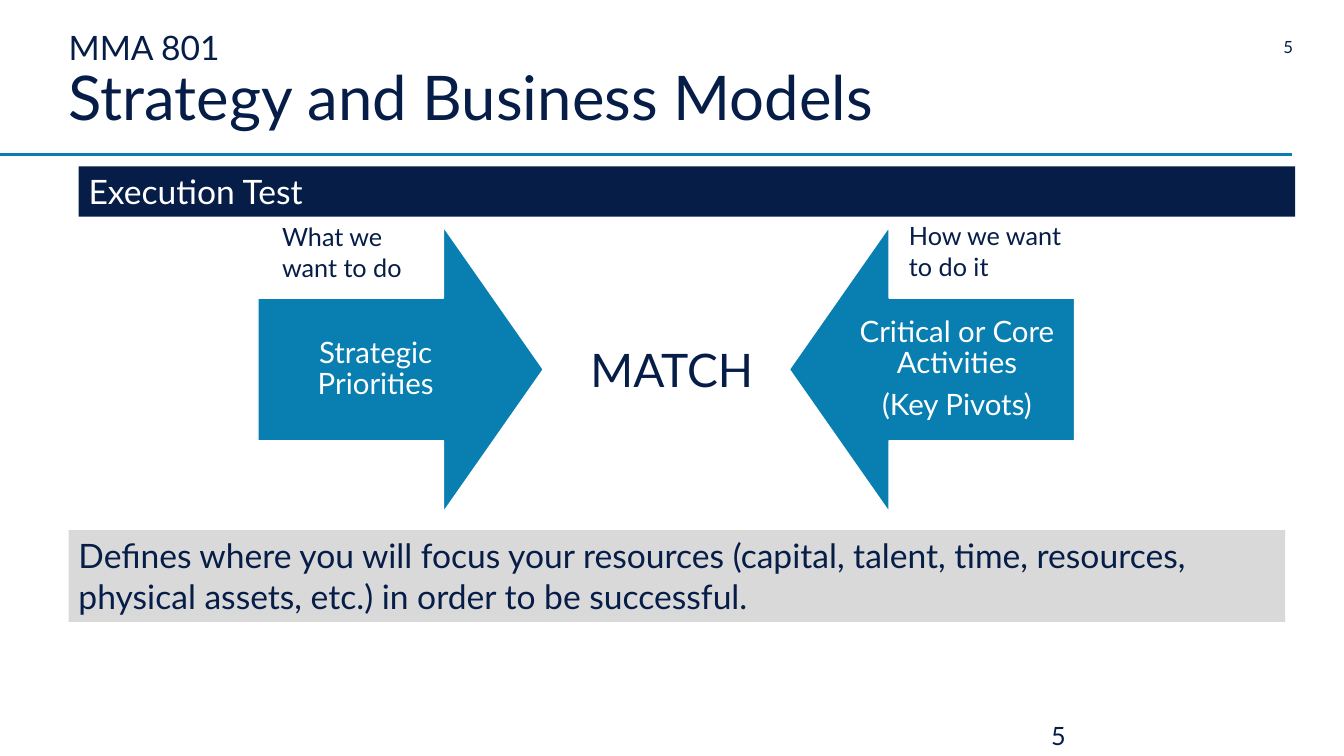
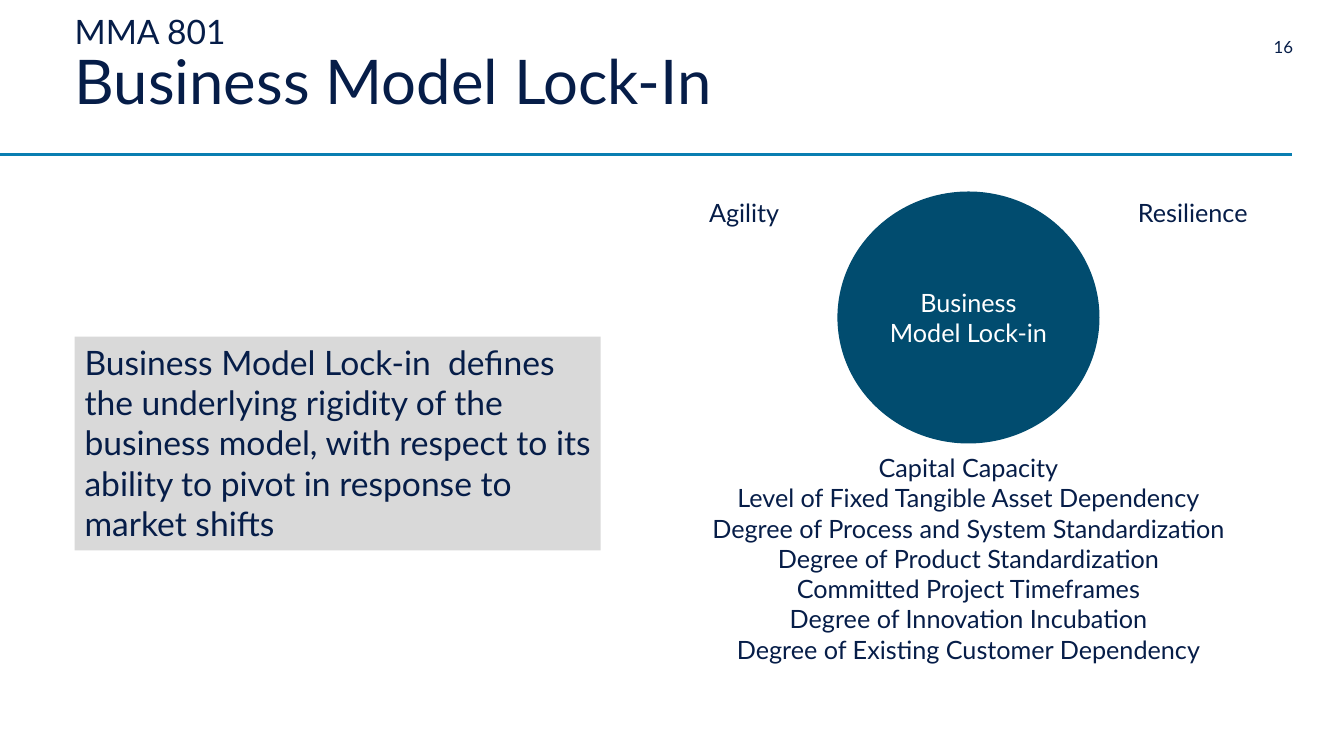
from dataclasses import dataclass

from lxml import etree
from pptx import Presentation
from pptx.dml.color import RGBColor
from pptx.enum.shapes import MSO_CONNECTOR, MSO_SHAPE
from pptx.enum.text import MSO_ANCHOR, MSO_AUTO_SIZE, PP_ALIGN
from pptx.oxml.ns import qn
from pptx.shapes.autoshape import Shape
from pptx.slide import Slide
from pptx.util import Pt

LEFT, CENTER, RIGHT = PP_ALIGN.LEFT, PP_ALIGN.CENTER, PP_ALIGN.RIGHT
TOP, MIDDLE, BOTTOM = MSO_ANCHOR.TOP, MSO_ANCHOR.MIDDLE, MSO_ANCHOR.BOTTOM
NO_AUTO_SIZE = MSO_AUTO_SIZE.NONE
RECTANGLE, OVAL = MSO_SHAPE.RECTANGLE, MSO_SHAPE.OVAL
RIGHT_ARROW, LEFT_ARROW = MSO_SHAPE.RIGHT_ARROW, MSO_SHAPE.LEFT_ARROW
STRAIGHT = MSO_CONNECTOR.STRAIGHT
TITLE_ONLY = 5


@dataclass(frozen=True)
class Theme:
    font: str = "Lato"
    navy: RGBColor = RGBColor(0x06, 0x1D, 0x48)
    blue: RGBColor = RGBColor(0x09, 0x7E, 0xB1)
    deep_blue: RGBColor = RGBColor(0x01, 0x4C, 0x6F)
    grey: RGBColor = RGBColor(0xD9, 0xD9, 0xD9)
    white: RGBColor = RGBColor(0xFF, 0xFF, 0xFF)
    title: int = 44
    match: int = 33
    heading: int = 24
    arrow: int = 21
    body: int = 18
    number: int = 12


THEME = Theme()


@dataclass(frozen=True)
class Box:
    left: float
    top: float
    width: float
    height: float

    def lengths(self) -> tuple[Pt, Pt, Pt, Pt]:
        return Pt(self.left), Pt(self.top), Pt(self.width), Pt(self.height)


@dataclass(frozen=True)
class Arrow:
    kind: MSO_SHAPE
    left: float
    lines: tuple[str, ...]


@dataclass(frozen=True)
class Label:
    text: str
    box: Box


ARROW_TOP, ARROW_SIZE = 162, 203.8
ARROWS = (
    Arrow(RIGHT_ARROW, 184.3, ("Strategic Priorities",)),
    Arrow(LEFT_ARROW, 563.8, ("Critical or Core Activities", "(Key Pivots)")),
)
ARROW_LABELS = (
    Label("What we want to do", Box(194.4, 154.8, 111, 51)),
    Label("How we want to do it", Box(642.2, 154.1, 134, 51)),
)
CIRCLE_CENTER = 691.8
LABEL_OFFSET, LABEL_WIDTH = 160.2, 115.2
LOCK_IN_FACTORS = (
    "Capital Capacity",
    "Level of Fixed Tangible Asset Dependency",
    "Degree of Process and System Standardization",
    "Degree of Product Standardization",
    "Committed Project Timeframes",
    "Degree of Innovation Incubation",
    "Degree of Existing Customer Dependency",
)


def write_text(shape: Shape, *lines: str, size: float = THEME.body,
               color: RGBColor = THEME.navy, align: PP_ALIGN = LEFT,
               anchor: MSO_ANCHOR = TOP, insets: tuple[float, float] = (7.2, 3.6),
               line_spacing: float = 1.0, space_after: float = 0) -> None:
    """Write one paragraph per line; insets are horizontal, then vertical."""
    frame = shape.text_frame
    frame.word_wrap = True
    frame.auto_size = NO_AUTO_SIZE
    frame.vertical_anchor = anchor
    frame.margin_left = frame.margin_right = Pt(insets[0])
    frame.margin_top = frame.margin_bottom = Pt(insets[1])
    frame.text = "\n".join(lines)
    for paragraph in frame.paragraphs:
        paragraph.alignment = align
        paragraph.line_spacing = line_spacing
        paragraph.space_before = Pt(0)
        paragraph.space_after = Pt(space_after)
        for run in paragraph.runs:
            run.font.name = THEME.font
            run.font.size = Pt(size)
            run.font.color.rgb = color


def add_text(slide: Slide, box: Box, *lines: str, **text_format) -> None:
    write_text(slide.shapes.add_textbox(*box.lengths()), *lines, **text_format)


def add_filled(slide: Slide, kind: MSO_SHAPE, box: Box, fill: RGBColor,
               *lines: str, **text_format) -> Shape:
    shape = slide.shapes.add_shape(kind, *box.lengths())
    shape.shadow.inherit = False
    shape.fill.solid()
    shape.fill.fore_color.rgb = fill
    shape.line.fill.background()
    write_text(shape, *lines, **text_format)
    return shape


def add_arrow(slide: Slide, arrow: Arrow) -> None:
    box = Box(arrow.left, ARROW_TOP, ARROW_SIZE, ARROW_SIZE)
    shape = add_filled(slide, arrow.kind, box, THEME.blue, *arrow.lines,
                       size=THEME.arrow, color=THEME.white, align=CENTER,
                       anchor=MIDDLE, insets=(11.5, 11.5),
                       line_spacing=0.9, space_after=7.35)
    shape.adjustments[0], shape.adjustments[1] = 0.5, 0.35
    shape.line.color.rgb = THEME.white
    shape.line.width = Pt(1)


def add_rule(slide: Slide) -> None:
    rule = slide.shapes.add_connector(STRAIGHT, Pt(0), Pt(110.2), Pt(923), Pt(110.2))
    rule.line.color.rgb = THEME.blue
    rule.line.width = Pt(2.25)
    etree.SubElement(rule.element.spPr, qn("a:effectLst"))


def add_titled_slide(presentation: Presentation, title: str, number: str,
                     left: float, top: float) -> Slide:
    """Add a slide with the course title, the rule and the page number."""
    slide = presentation.slides.add_slide(presentation.slide_layouts[TITLE_ONLY])
    placeholder = slide.shapes.title
    placeholder.left, placeholder.top, placeholder.width, placeholder.height = (
        Box(left, top, 787.7, 67.7).lengths())
    write_text(placeholder, f"MMA 801\v{title}", size=THEME.title,
               anchor=BOTTOM, insets=(0, 0), line_spacing=0.9)
    placeholder.text_frame.paragraphs[0].runs[0].font.size = Pt(THEME.heading)
    add_rule(slide)
    add_text(slide, Box(894.2, 25.9, 29.5, 14.4), number,
             size=THEME.number, align=RIGHT, insets=(0, 0))
    return slide


def build_strategy(presentation: Presentation) -> None:
    slide = add_titled_slide(presentation, "Strategy and Business Models", "5", 49, 28)
    add_text(slide, Box(743.8, 511.2, 216, 28.8), "5")
    for arrow in ARROWS:
        add_arrow(slide, arrow)
    add_text(slide, Box(396.7, 240.5, 166.3, 47.5), "MATCH",
             size=THEME.match, align=CENTER)
    add_filled(slide, RECTANGLE, Box(49, 378.7, 869, 65.5), THEME.grey,
               "Defines where you will focus your resources (capital, talent, time, "
               "resources, physical assets, etc.) in order to be successful.",
               size=THEME.heading)
    for label in ARROW_LABELS:
        add_text(slide, label.box, label.text)
    add_filled(slide, RECTANGLE, Box(56.2, 118.8, 869, 36), THEME.navy,
               "Execution Test", size=THEME.heading, color=THEME.white)


def build_lock_in(presentation: Presentation) -> None:
    slide = add_titled_slide(presentation, "Business Model Lock-In", "16", 53.3, 16.6)
    add_filled(slide, RECTANGLE, Box(53.3, 240.5, 375.8, 152.6), THEME.grey,
               "Business Model Lock-in  defines the underlying rigidity of the "
               "business model, with respect to its ability to pivot in response "
               "to market shifts", size=THEME.heading)
    add_filled(slide, OVAL, Box(CIRCLE_CENTER - 93.6, 136.8, 187.2, 180),
               THEME.deep_blue, "Business Model Lock-in",
               color=THEME.white, align=CENTER, anchor=MIDDLE)
    for text, side in (("Agility", -1), ("Resilience", 1)):
        left = CIRCLE_CENTER + side * LABEL_OFFSET - LABEL_WIDTH / 2
        add_text(slide, Box(left, 137.5, LABEL_WIDTH, 28.8), text, align=CENTER)
    add_text(slide, Box(CIRCLE_CENTER - 260, 319.7, 520, 203.8),
             *LOCK_IN_FACTORS, align=CENTER)


def main() -> None:
    presentation = Presentation()
    presentation.slide_width, presentation.slide_height = Pt(960), Pt(540)
    build_strategy(presentation)
    build_lock_in(presentation)
    presentation.save("out.pptx")


if __name__ == "__main__":
    main()
